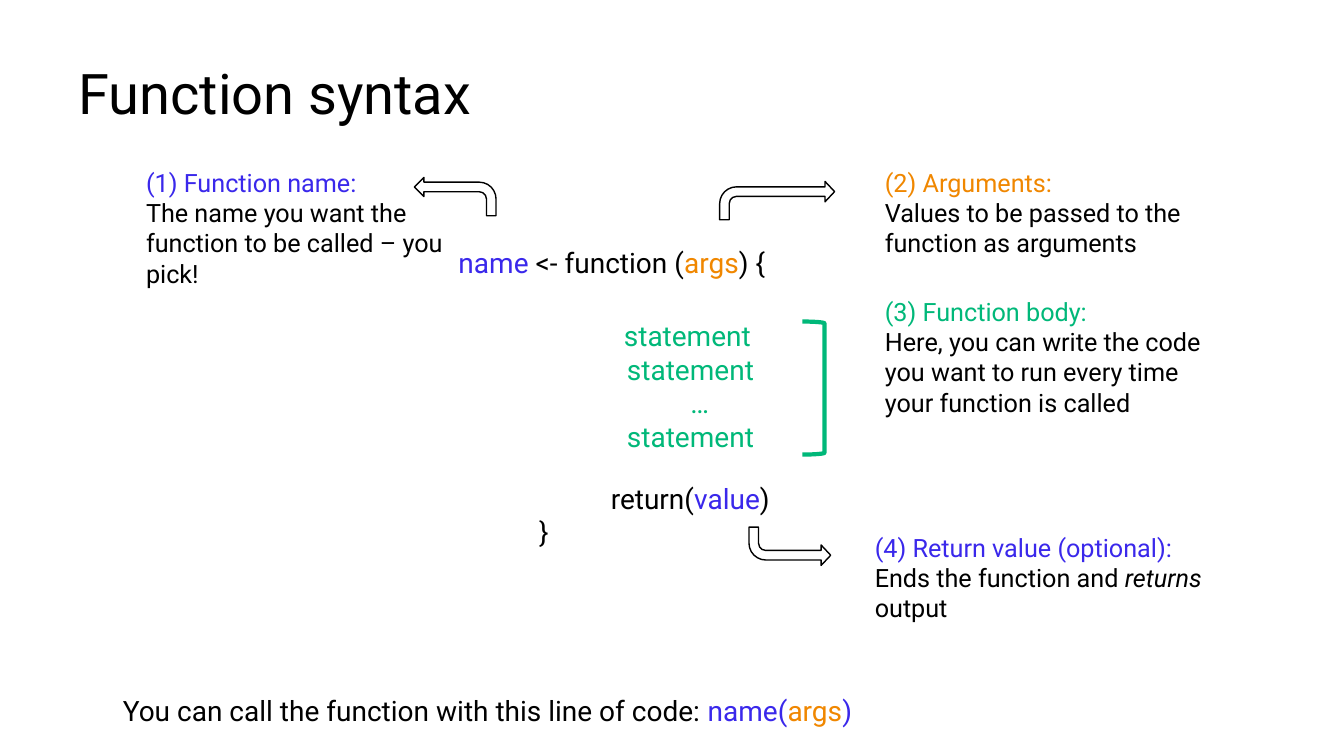
from dataclasses import dataclass

from pptx import Presentation
from pptx.dml.color import RGBColor
from pptx.enum.shapes import MSO_SHAPE
from pptx.enum.text import MSO_AUTO_SIZE
from pptx.slide import Slide
from pptx.util import Inches, Pt

BENT_ARROW = MSO_SHAPE.BENT_ARROW
RIGHT_BRACKET = MSO_SHAPE.RIGHT_BRACKET
GROW = MSO_AUTO_SIZE.SHAPE_TO_FIT_TEXT
FIXED = MSO_AUTO_SIZE.NONE

WIDTH, HEIGHT = Inches(13.333), Inches(7.5)
FONT = "Roboto"
BLACK, BLUE, ORANGE, GREEN = "000000", "3A28EB", "F08700", "00B879"


@dataclass(frozen=True)
class Box:
    """Left, top, width and height in percent of the slide."""
    x: float
    y: float
    w: float
    h: float

    def emu(self) -> tuple[int, int, int, int]:
        return across(self.x), down(self.y), across(self.w), down(self.h)


@dataclass(frozen=True)
class Span:
    text: str
    color: str = BLACK
    italic: bool = False


@dataclass(frozen=True)
class Line:
    spans: tuple[Span, ...]
    indent: float = 0
    before: float = 0


@dataclass(frozen=True)
class TextBlock:
    box: Box
    lines: tuple[Line, ...]
    size: float = 20
    spacing: float = 1.0
    fit: MSO_AUTO_SIZE = GROW


@dataclass(frozen=True)
class Outline:
    kind: MSO_SHAPE
    box: Box
    color: str = BLACK
    weight: float = 1
    flip: str = ""
    adjustments: tuple[float, ...] = ()


def across(share: float) -> int:
    return round(WIDTH * share / 100)


def down(share: float) -> int:
    return round(HEIGHT * share / 100)


def rgb(color: str) -> RGBColor:
    return RGBColor.from_string(color)


def callout(box: Box, heading: str, color: str, *body: Span) -> TextBlock:
    return TextBlock(box, (Line((Span(heading, color),)), Line(body)), 18)


def statement(text: str, indent: float) -> Line:
    return Line((Span(text, GREEN),), indent)


def draw_text(slide: Slide, block: TextBlock) -> None:
    tf = slide.shapes.add_textbox(*block.box.emu()).text_frame
    tf.word_wrap = True
    tf.auto_size = block.fit
    for i, line in enumerate(block.lines):
        p = tf.add_paragraph() if i else tf.paragraphs[0]
        p.font.name = FONT
        p.font.size = Pt(block.size)
        p.line_spacing = block.spacing
        p.space_before = Pt(line.before)
        if line.indent:
            p._p.get_or_add_pPr().set("marL", str(across(line.indent)))
        for span in line.spans:
            r = p.add_run()
            r.text = span.text
            r.font.color.rgb = rgb(span.color)
            if span.italic:
                r.font.italic = True


def draw_outline(slide: Slide, outline: Outline) -> None:
    s = slide.shapes.add_shape(outline.kind, *outline.box.emu())
    s.shadow.inherit = False
    s.fill.background()
    s.line.color.rgb = rgb(outline.color)
    s.line.width = Pt(outline.weight)
    for i, value in enumerate(outline.adjustments):
        s.adjustments[i] = value
    if outline.flip:
        s._element.spPr.xfrm.set(outline.flip, "1")


LONG_BEND = (0.25, 0.267, 0.25, 0.438)

OUTLINES = (
    Outline(BENT_ARROW, Box(30.83, 23.47, 6.08, 5.07), flip="flipH"),
    Outline(BENT_ARROW, Box(53.55, 24, 8.55, 5.07), adjustments=LONG_BEND),
    Outline(BENT_ARROW, Box(55.73, 69.73, 6.08, 5.07), flip="flipV",
            adjustments=LONG_BEND),
    Outline(RIGHT_BRACKET, Box(59.7, 42.53, 1.65, 17.6), GREEN, 3),
)

TEXTS = (
    TextBlock(Box(5.1, 8.13, 67.05, 19.33),
              (Line((Span("Function syntax"),)),), 40, 0.9, FIXED),
    TextBlock(Box(33.38, 31.87, 56.7, 50.67), (
        Line((Span("name ", BLUE), Span("<- function ("),
              Span("args", ORANGE), Span(") {"))),
        Line((Span("return("), Span("value", BLUE), Span(")")), 11.33, 144),
        Line((Span("}"),), 6),
    )),
    TextBlock(Box(38.78, 41.47, 50.03, 19.33), (
        statement("statement", 6.9),
        statement("statement", 7.13),
        statement("…", 11.85),
        statement("statement", 7.13),
    )),
    callout(Box(10.13, 21.47, 23.7, 17.47), "(1) Function name:", BLUE,
            Span("The name you want the function to be called – you pick!")),
    callout(Box(65.1, 21.47, 23.7, 13.47), "(2) Arguments:", ORANGE,
            Span("Values to be passed to the function as arguments")),
    callout(Box(65.1, 38.53, 26.03, 17.47), "(3) Function body:", GREEN,
            Span("Here, you can write the code you want to run every time "
                 "your function is called")),
    callout(Box(64.35, 69.73, 29.48, 13.47), "(4) Return value (optional):",
            BLUE, Span("Ends the function and "),
            Span("returns", italic=True), Span(" output")),
    TextBlock(Box(8.4, 91.07, 56.7, 5.87), (
        Line((Span("You can call the function with this line of code: "),
              Span("name(", BLUE), Span("args", ORANGE), Span(")", BLUE))),
    )),
)


def main() -> None:
    prs = Presentation()
    prs.slide_width, prs.slide_height = WIDTH, HEIGHT
    slide = prs.slides.add_slide(prs.slide_layouts[6])
    for outline in OUTLINES:
        draw_outline(slide, outline)
    for block in TEXTS:
        draw_text(slide, block)
    prs.save("out.pptx")


if __name__ == "__main__":
    main()
